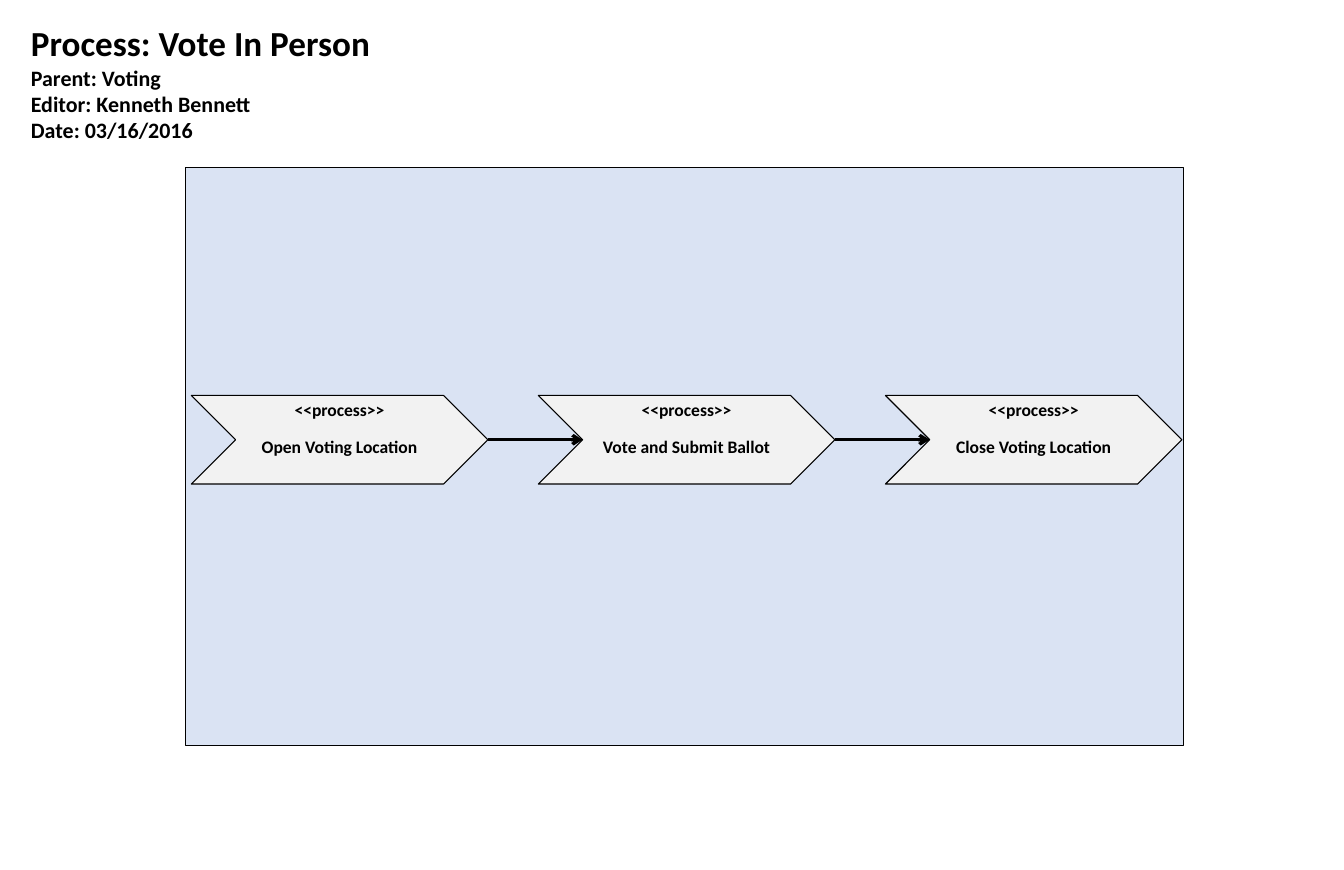
import pptx
import pptx.util
import pptx.dml.color
import pptx.enum.shapes
import pptx.enum.text
import pptx.oxml.ns
from dataclasses import dataclass
from lxml import etree

COLS, ROWS = 17, 11  # slide grid, one inch a cell


@dataclass(frozen=True)
class Theme:
    font: str = "Calibri"
    ink: str = "000000"
    panel: str = "DAE3F3"
    step: str = "F2F2F2"
    title: int = 32
    meta: int = 20
    label: int = 16
    gap: int = 14
    edge: float = 1
    flow: float = 3


THEME = Theme()
STEPS = ["Open Voting Location", "Vote and Submit Ballot", "Close Voting Location"]
META = ["Parent: Voting", "Editor: Kenneth Bennett", "Date: 03/16/2016"]


def cell(size):
    return pptx.util.Inches(size)


def color(code):
    return pptx.dml.color.RGBColor.from_string(code)


def child(node, tag, **attrs):
    return etree.SubElement(node, pptx.oxml.ns.qn(tag), attrs)


def write(para, text, size, align):
    para.alignment = align
    para.line_spacing = 1
    run = para.add_run()
    run.text = text
    run.font.name = THEME.font
    run.font.size = pptx.util.Pt(size)
    run.font.bold = True
    run.font.color.rgb = color(THEME.ink)


def fill(frame, lines, size, align, gap=0):
    """Write one paragraph for each line, with a gap between them."""
    frame.word_wrap = True
    frame.auto_size = pptx.enum.text.MSO_AUTO_SIZE.NONE
    frame.vertical_anchor = pptx.enum.text.MSO_ANCHOR.TOP
    for num, line in enumerate(lines):
        para = frame.paragraphs[0] if num == 0 else frame.add_paragraph()
        props = para._p.get_or_add_pPr()
        props.set("marL", "0")
        props.set("indent", "0")
        child(props, "a:buNone")
        para.space_before = pptx.util.Pt(gap if num else 0)
        write(para, line, size, align)


def place(shape, left, top, width, height):
    shape.left, shape.top = cell(left), cell(top)
    shape.width, shape.height = cell(width), cell(height)


def block(slide, kind, box, paint):
    shape = slide.shapes.add_shape(kind, *map(cell, box))
    shape.shadow.inherit = False
    shape.fill.solid()
    shape.fill.fore_color.rgb = color(paint)
    shape.line.color.rgb = color(THEME.ink)
    shape.line.width = pptx.util.Pt(THEME.edge)
    return shape


def header(slide, left, top, width, height):
    """Title line with the process details under it."""
    split = 0.59
    start = pptx.enum.text.PP_ALIGN.LEFT
    title, body = slide.shapes.title, slide.placeholders[1]
    place(title, left, top, width, split)
    fill(title.text_frame, ["Process: Vote In Person"], THEME.title, start)
    place(body, left, top + split, width, height - split)
    body.text_frame.margin_top = 0
    fill(body.text_frame, META, THEME.meta, start)


def arrow(slide, first, second):
    """Join the tip of one step to the notch of the next."""
    mid = first.top + first.height // 2
    notch = second.left + second.height // 2
    link = slide.shapes.add_connector(
        pptx.enum.shapes.MSO_CONNECTOR.STRAIGHT,
        first.left + first.width, mid, notch, mid)
    link.begin_connect(first, 3)
    link.end_connect(second, 1)
    link.end_x = notch
    link.line.color.rgb = color(THEME.ink)
    link.line.width = pptx.util.Pt(THEME.flow)
    child(link.line._get_or_add_ln(), "a:tailEnd", type="arrow")
    child(link._element.spPr, "a:effectLst")


def process(slide, left, top, width, height):
    """Panel with a row of steps and the arrows between them."""
    kinds = pptx.enum.shapes.MSO_SHAPE
    block(slide, kinds.RECTANGLE, (left, top, width, height), THEME.panel)

    # Steps at an equal pitch
    wide, high, pitch = 3.75, 1.12, 4.39
    steps = []
    for num, name in enumerate(STEPS):
        box = (left + 0.07 + num * pitch, top + 2.88, wide, high)
        step = block(slide, kinds.CHEVRON, box, THEME.step)
        fill(step.text_frame, ["<<process>>", name], THEME.label,
             pptx.enum.text.PP_ALIGN.CENTER, THEME.gap)
        steps.append(step)

    # Flow
    for first, second in zip(steps, steps[1:]):
        arrow(slide, first, second)


def main():
    deck = pptx.Presentation()
    deck.slide_width, deck.slide_height = cell(COLS), cell(ROWS)
    slide = deck.slides.add_slide(deck.slide_layouts[1])
    header(slide, 0.29, 0.22, 15.7, 1.65)
    process(slide, 2.35, 2.12, 12.62, 7.31)
    deck.save("out.pptx")


if __name__ == "__main__":
    main()
